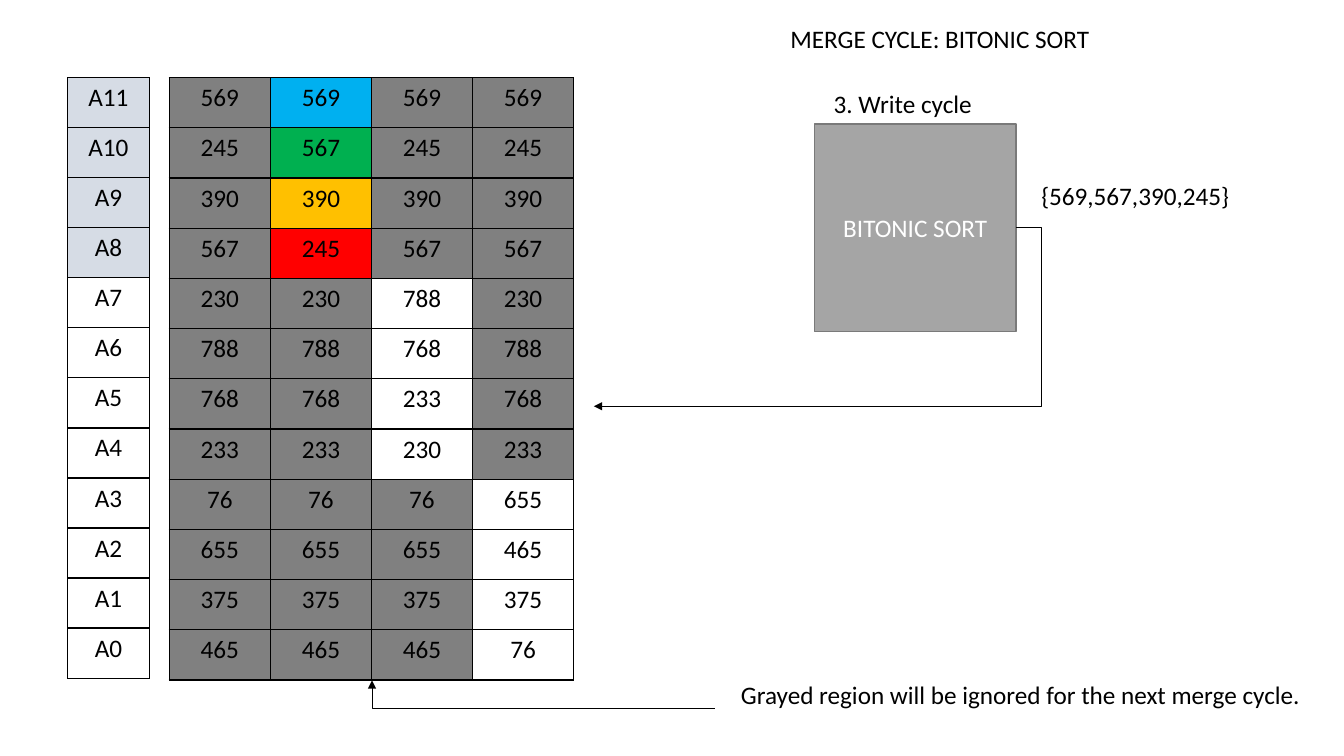
from lxml import etree
from pptx import Presentation, util as u
from pptx.dml.color import RGBColor
from pptx.enum import shapes, text
from pptx.oxml import ns, parse_xml

WIDTH, HEIGHT = u.Inches(13.33), u.Inches(7.5)
BLACK, WHITE, GRAY, PALE = "000000", "FFFFFF", "808080", "D6DCE5"
BLOCK = 4
INITIAL = [569, 245, 390, 567, 230, 788, 768, 233, 76, 655, 375, 465]
WRITTEN_COLORS = ["00B0F0", "00B050", "FFC000", "FF0000"]


def x(percent):
    """Return a share of the slide width."""
    return round(WIDTH * percent / 100)


def y(percent):
    """Return a share of the slide height."""
    return round(HEIGHT * percent / 100)


def area(left, top, width, height):
    """Return a rectangle given in percent of the slide."""
    return x(left), y(top), x(width), y(height)


def paint(fill, color):
    """Apply a solid hex colour, or no fill for None."""
    if color is None:
        fill.background()
    else:
        fill.solid()
        fill.fore_color.rgb = RGBColor.from_string(color)


def write(tf, content, size=18, color=BLACK, align=text.PP_ALIGN.LEFT,
          anchor=text.MSO_ANCHOR.TOP):
    """Write one formatted paragraph into a text frame."""
    tf.word_wrap = True
    tf.vertical_anchor = anchor
    p = tf.paragraphs[0]
    p.alignment = align
    r = p.add_run()
    r.text = content
    r.font.name, r.font.size = "Calibri", u.Pt(size)
    paint(r.font.fill, color)


def add_label(s, content, left, top, width):
    """Add a one-line text box."""
    sp = s.shapes.add_textbox(*area(left, top, width, 5.33))
    write(sp.text_frame, content)


def add_title(s, content, *box):
    """Place and write the title placeholder."""
    sp = s.shapes.title
    sp.left, sp.top, sp.width, sp.height = area(*box)
    write(sp.text_frame, content)


def add_borders(cell):
    """Draw a thin black line on all four sides of a cell."""
    tc_pr = cell._tc.get_or_add_tcPr()
    for i, side in enumerate("LRTB"):
        tc_pr.insert(i, parse_xml(
            f'<a:ln{side} {ns.nsdecls("a")} w="12700"><a:solidFill>'
            f'<a:srgbClr val="{BLACK}"/></a:solidFill></a:ln{side}>'))


def add_grid(s, rows, *box):
    """Add an evenly divided table of (content, fill) rows."""
    left, top, width, height = area(*box)
    frame = s.shapes.add_table(len(rows), len(rows[0]), left, top, width, height)
    table = frame.table
    table.first_row = table.horz_banding = False
    for column in table.columns:
        column.width = width // len(rows[0])
    for i, row in enumerate(rows):
        table.rows[i].height = height // len(rows)
        for j, (content, color) in enumerate(row):
            cell = table.cell(i, j)
            paint(cell.fill, color)
            add_borders(cell)
            write(cell.text_frame, content, align=text.PP_ALIGN.CENTER)


def add_arrow(s, start, end, preset, adjust=None):
    """Add a bent connector with an arrowhead at its end."""
    c = s.shapes.add_connector(shapes.MSO_CONNECTOR.ELBOW, x(start[0]), y(start[1]),
                               x(end[0]), y(end[1]))
    paint(c.line.fill, BLACK)
    c.line.width = u.Pt(0.5)
    etree.SubElement(c.line._get_or_add_ln(), ns.qn("a:tailEnd"), type="triangle")
    sp_pr = c._element.spPr
    etree.SubElement(sp_pr, ns.qn("a:effectLst"))
    geometry = sp_pr.find(ns.qn("a:prstGeom"))
    geometry.set("prst", preset)
    if adjust is not None:
        guides = geometry.find(ns.qn("a:avLst"))
        etree.SubElement(guides, ns.qn("a:gd"), name="adj1", fmla=f"val {adjust}")
    return c


def add_sorter(s, content, *box):
    """Add the gray sorting block."""
    sp = s.shapes.add_shape(shapes.MSO_SHAPE.RECTANGLE, *area(*box))
    sp.shadow.inherit = False
    paint(sp.fill, "A5A5A5")
    paint(sp.line.fill, "7A7A7A")
    sp.line.width = u.Pt(1)
    write(sp.text_frame, content, color=WHITE, align=text.PP_ALIGN.CENTER,
          anchor=text.MSO_ANCHOR.MIDDLE)
    return sp


def memory_rows():
    """Build the initial column and one column per sorted block."""
    rows = [[(str(value), GRAY)] for value in INITIAL]
    for first in range(0, len(INITIAL), BLOCK):
        block = sorted(INITIAL[first:first + BLOCK], reverse=True)
        for i, value in enumerate(INITIAL):
            k = i - first
            if 0 <= k < BLOCK:
                rows[i].append((str(block[k]), None if first else WRITTEN_COLORS[k]))
            else:
                rows[i].append((str(value), GRAY))
    return rows


def address_rows():
    """Build the address column, with the active block shaded."""
    count = len(INITIAL)
    return [[(f"A{count - 1 - i}", PALE if i < BLOCK else None)] for i in range(count)]


def main():
    """Build the slide and save it."""
    prs = Presentation()
    prs.slide_width, prs.slide_height = WIDTH, HEIGHT
    s = prs.slides.add_slide(prs.slide_layouts[5])
    add_title(s, "MERGE CYCLE: BITONIC SORT", 58.06, 2.4, 24.38, 5.33)
    add_grid(s, memory_rows(), 12.6, 10.27, 30.08, 79.73)
    add_grid(s, address_rows(), 5.03, 10.27, 6.08, 79.47)
    sorter = add_sorter(s, "BITONIC SORT", 60.6, 16.4, 15, 27.47)
    write_back = add_arrow(s, (75.6, 30.13), (44.19, 53.73), "bentConnector3", -6000)
    write_back.begin_connect(sorter, 3)
    add_arrow(s, (53.19, 93.73), (27.68, 90), "bentConnector2")
    add_label(s, "3. Write cycle", 61.29, 11.07, 14.33)
    add_label(s, "Grayed region will be ignored for the next merge cycle.", 54.39, 89.2, 43.44)
    add_label(s, "{569,567,390,245}", 76.74, 23.2, 15.53)
    prs.save("out.pptx")


if __name__ == "__main__":
    main()
